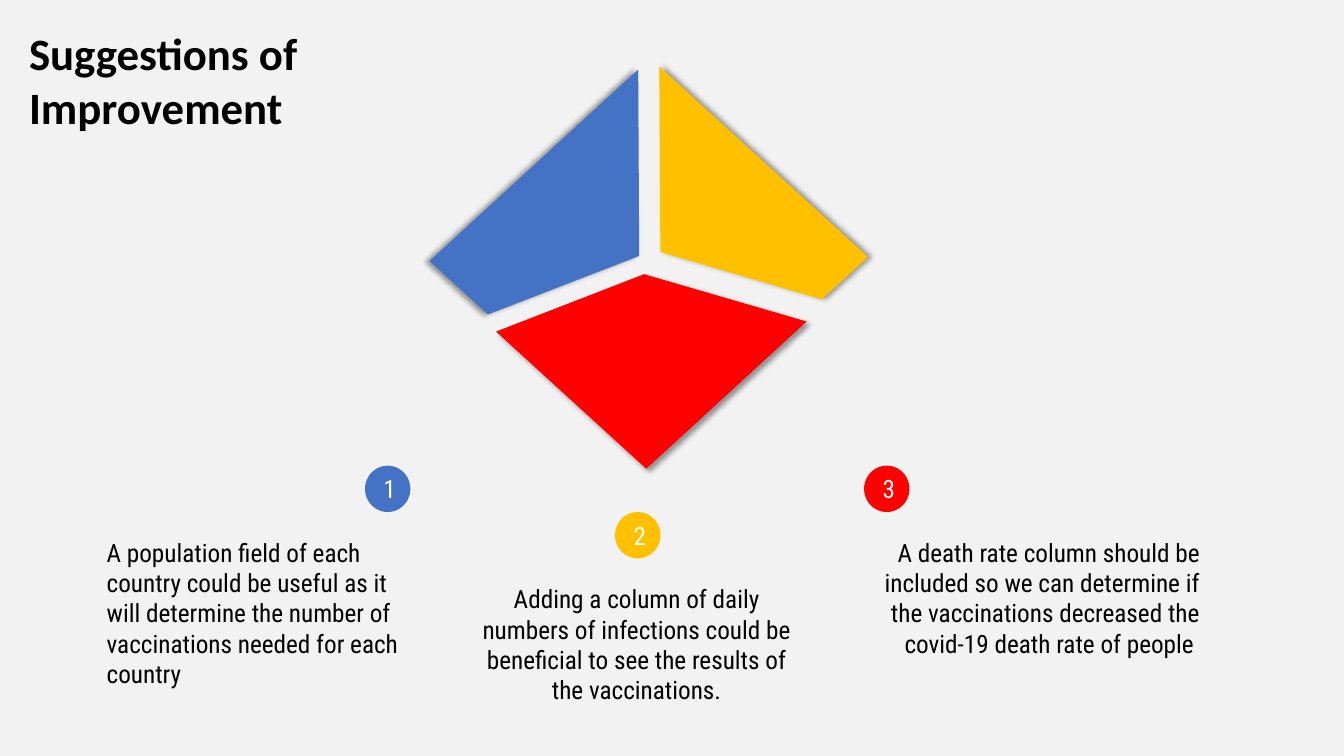
from lxml import etree
from pptx import Presentation
from pptx.dml.color import RGBColor
from pptx.enum.shapes import MSO_SHAPE
from pptx.enum.text import MSO_ANCHOR, PP_ALIGN
from pptx.oxml.ns import qn
from pptx.util import Inches, Pt

OVAL = MSO_SHAPE.OVAL
MIDDLE = MSO_ANCHOR.MIDDLE
LEFT, CENTER, RIGHT = PP_ALIGN.LEFT, PP_ALIGN.CENTER, PP_ALIGN.RIGHT

BLUE, YELLOW, RED = "4472C4", "FFC000", "FF0000"
BLACK, WHITE, BACKGROUND = "000000", "FFFFFF", "F2F2F2"
BODY_FONT = "Roboto Condensed"

DIAMOND_PIECES = [
    (BLUE, 180, [(2.07, 0.04), (2.08, 1.89), (0.58, 2.47), (0, 1.94)]),
    (YELLOW, 0, [(2.28, 0.01), (4.35, 1.9), (3.89, 2.32), (2.29, 1.85)]),
    (RED, 45, [(2.13, 2.07), (2.16, 2.08), (3.74, 2.54), (2.15, 4), (0.66, 2.64)]),
]

SUGGESTIONS = [
    ("1", BLUE, LEFT, (0.96, 5.28, 3.33, 1.31), 2.66,
     "A population field of each country could be useful as it will determine "
     "the number of vaccinations needed for each country"),
    ("2", YELLOW, CENTER, (4.65, 5.74, 3.33, 1.01), 1.45,
     "Adding a column of daily numbers of infections could be beneficial to see "
     "the results of the vaccinations."),
    ("3", RED, RIGHT, (8.67, 5.28, 3.33, 1.31), -0.1,
     "A death rate column should be included so we can determine if the "
     "vaccinations decreased the covid-19 death rate of people "),
]


def color(value):
    return RGBColor.from_string(value)


def paint(shape, fill):
    shape.shadow.inherit = False
    shape.fill.solid()
    shape.fill.fore_color.rgb = color(fill)
    shape.line.fill.background()


def add_shadow(shape, direction):
    effects = shape._element.spPr.find(qn("a:effectLst"))
    shadow = etree.SubElement(
        effects, qn("a:outerShdw"), blurRad=str(Pt(4)), dist=str(Pt(3)),
        dir=str(direction * 60000), algn="ctr", rotWithShape="0")
    shade = etree.SubElement(shadow, qn("a:srgbClr"), val=BLACK)
    etree.SubElement(shade, qn("a:alpha"), val="40000")


def write(shape, text, font_name, size, text_color, alignment, bold=False):
    text_frame = shape.text_frame
    text_frame.word_wrap = True
    text_frame.text = text
    paragraph = text_frame.paragraphs[0]
    paragraph.alignment = alignment
    font = paragraph.runs[0].font
    font.name = font_name
    font.size = Pt(size)
    font.bold = bold
    font.color.rgb = color(text_color)


def add_title(slide, left, top, width, height):
    title = slide.shapes.add_textbox(
        Inches(left), Inches(top), Inches(width), Inches(height))
    write(title, "Suggestions of Improvement", "Calibri", 32, BLACK, LEFT, bold=True)


def add_diamond(slide, left, top):
    for fill, shadow_direction, corners in DIAMOND_PIECES:
        points = [(Inches(left + x), Inches(top + y)) for x, y in corners]
        builder = slide.shapes.build_freeform(*points[0])
        builder.add_line_segments(points[1:], close=True)
        piece = builder.convert_to_shape()
        paint(piece, fill)
        add_shadow(piece, shadow_direction)


def add_badge(slide, left, top, number, fill):
    badge = slide.shapes.add_shape(
        OVAL, Inches(left), Inches(top), Inches(0.45), Inches(0.46))
    paint(badge, fill)
    write(badge, number, BODY_FONT, 18, WHITE, CENTER)
    text_frame = badge.text_frame
    text_frame.vertical_anchor = MIDDLE
    text_frame.margin_left = Inches(0.04)
    text_frame.margin_right = text_frame.margin_top = text_frame.margin_bottom = 0


def add_suggestion(slide, box, number, fill, alignment, badge_offset, text):
    left, top, width, height = box
    add_badge(slide, left + badge_offset, top - 0.66, number, fill)
    body = slide.shapes.add_textbox(
        Inches(left), Inches(top), Inches(width), Inches(height))
    write(body, text, BODY_FONT, 18, BLACK, alignment)


def main():
    presentation = Presentation()
    presentation.slide_width = Inches(13.33)
    presentation.slide_height = Inches(7.5)
    slide = presentation.slides.add_slide(presentation.slide_layouts[6])
    slide.background.fill.solid()
    slide.background.fill.fore_color.rgb = color(BACKGROUND)

    add_diamond(slide, 4.26, 0.65)
    for number, fill, alignment, box, badge_offset, text in SUGGESTIONS:
        add_suggestion(slide, box, number, fill, alignment, badge_offset, text)
    add_title(slide, 0.19, 0.21, 3.06, 1.18)
    presentation.save("out.pptx")


if __name__ == "__main__":
    main()
